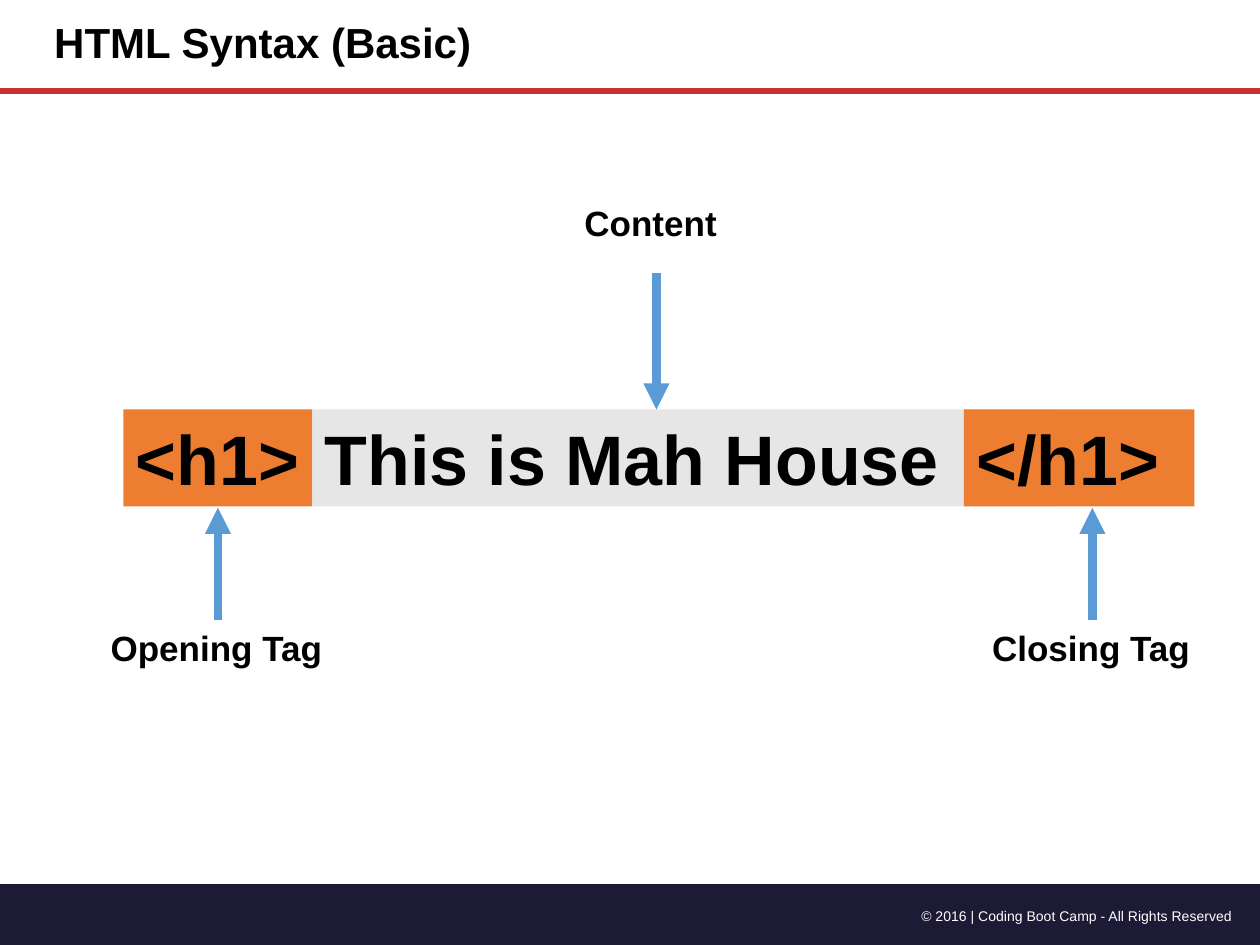
from lxml import etree
from pptx import Presentation
from pptx import util as u
from pptx.dml.color import RGBColor
from pptx.enum import shapes, text
from pptx.oxml.ns import qn

BLACK = RGBColor(0x00, 0x00, 0x00)
WHITE = RGBColor(0xFF, 0xFF, 0xFF)
NAVY = RGBColor(0x1D, 0x1A, 0x36)
RED = RGBColor(0xC8, 0x32, 0x32)
ORANGE = RGBColor(0xED, 0x7D, 0x31)
GRAY = RGBColor(0xE7, 0xE6, 0xE6)
BLUE = RGBColor(0x5B, 0x9B, 0xD5)

WIDTH, HEIGHT = 10, 7.5
HEADER = (0, 0, WIDTH, 0.72)
FOOTER = (0, 7.02, WIDTH, 0.5)
DIAGRAM = (0.98, 3.25, 8.5, 0.77)


def inches(*values):
    return [u.Inches(v) for v in values]


def write(sp, words, size, color=BLACK, bold=True, align=text.PP_ALIGN.LEFT,
          wrap=True, anchor=text.MSO_ANCHOR.TOP):
    tf = sp.text_frame
    tf.word_wrap = wrap
    tf.vertical_anchor = anchor
    p = tf.paragraphs[0]
    p.text = words
    p.alignment = align
    p.font.name, p.font.size, p.font.bold = "Arial", u.Pt(size), bold
    p.font.color.rgb = color
    return p


def add_block(s, box, fill, kind=shapes.MSO_SHAPE.RECTANGLE):
    sp = s.shapes.add_shape(kind, *inches(*box))
    sp.shadow.inherit = False
    sp.fill.solid()
    sp.fill.fore_color.rgb = fill
    sp.line.fill.background()
    return sp


def add_line(s, start, end, color, weight, arrow=False):
    line = s.shapes.add_connector(shapes.MSO_CONNECTOR.STRAIGHT,
                                  *inches(*start, *end))
    line.line.color.rgb = color
    line.line.width = u.Pt(weight)
    if arrow:
        ln = line.line._get_or_add_ln()
        etree.SubElement(ln, qn("a:tailEnd"), type="triangle")
    etree.SubElement(line._element.spPr, qn("a:effectLst"))


def add_footer(s, box):
    left, top, width, height = box
    add_block(s, box, NAVY, shapes.MSO_SHAPE.FLOWCHART_PROCESS)
    note = s.shapes.add_textbox(
        *inches(left + width - 3.17, top + 0.13, 3.05, 0.24))
    write(note, "© 2016 | Coding Boot Camp - All Rights Reserved", 8,
          WHITE, bold=False, align=text.PP_ALIGN.RIGHT)


def add_header(s, box, words):
    left, top, width, height = box
    add_line(s, (left, top + height), (left + width, top + height), RED, 3.25)
    title = s.shapes.title
    title.left, title.top, title.width, title.height = inches(
        left + 0.33, top, 0.75 * width, height)
    p = write(title, words, 24, anchor=text.MSO_ANCHOR.MIDDLE)
    p.line_spacing = 0.9


def add_diagram(s, box):
    left, top, width, height = box
    bottom = top + height
    # Element parts: offset, width, fill, code
    for offset, w, fill, code in ((0, 1.5, ORANGE, "<h1>"),
                                  (1.5, 5.88, GRAY, "This is Mah House"),
                                  (width - 1.83, 1.83, ORANGE, "</h1>")):
        write(add_block(s, (left + offset, top, w, height), fill), code, 40)
    # Labels and arrows: centre, label top, label width, arrow start and end
    below = bottom + 0.9
    for words, center, label_top, w, start, end in (
            ("Opening Tag", 0.75, below, 1.9, below, bottom + 0.01),
            ("Closing Tag", 7.69, below, 1.79, below, bottom + 0.01),
            ("Content ", 4.23, top - 1.7, 1.34, top - 1.08, top)):
        x = left + center
        label = s.shapes.add_textbox(*inches(x - w / 2, label_top, w, 0.44))
        write(label, words, 20, wrap=False)
        add_line(s, (x, start), (x, end), BLUE, 5, arrow=True)


prs = Presentation()
prs.slide_width, prs.slide_height = inches(WIDTH, HEIGHT)
s = prs.slides.add_slide(prs.slide_layouts[5])
add_footer(s, FOOTER)
add_header(s, HEADER, "HTML Syntax (Basic)")
add_diagram(s, DIAGRAM)
prs.save("out.pptx")
